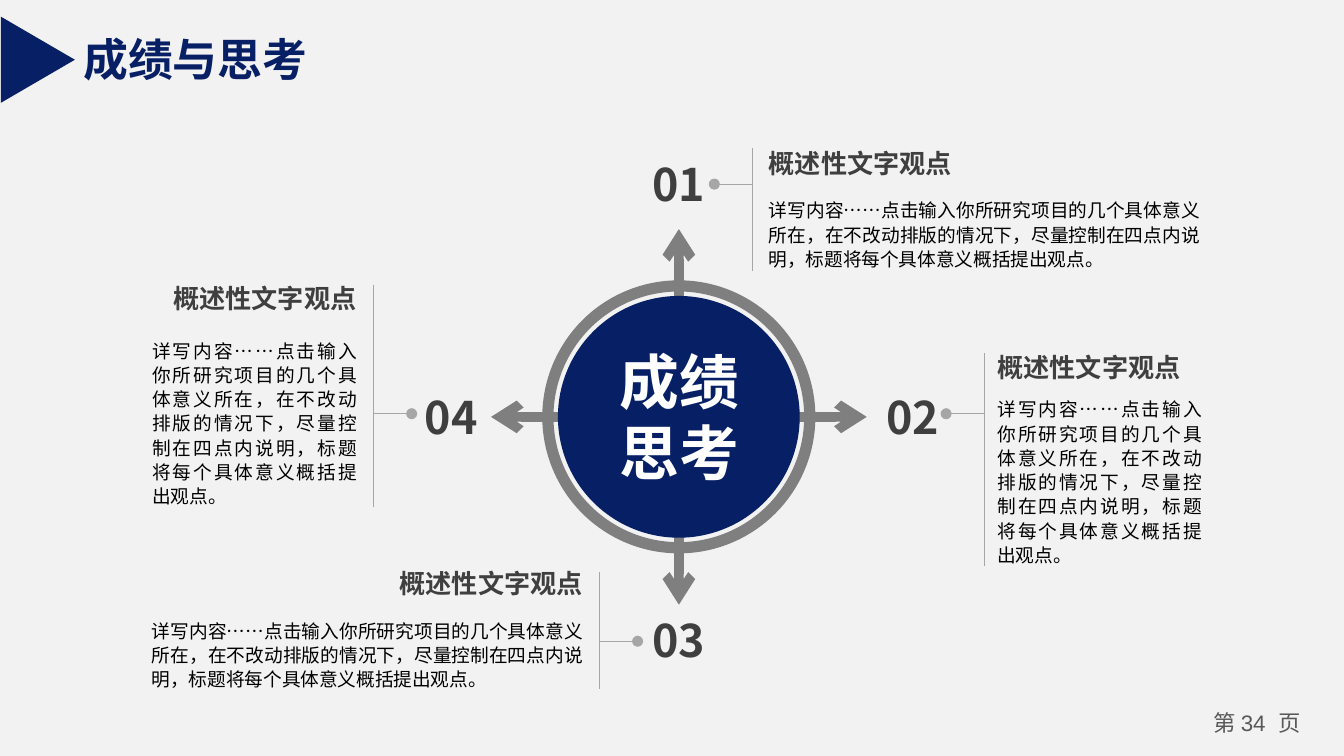
from lxml.etree import SubElement
from pptx import Presentation
from pptx.dml.color import RGBColor
from pptx.enum.shapes import MSO_CONNECTOR, MSO_SHAPE
from pptx.enum.text import MSO_ANCHOR, MSO_AUTO_SIZE, PP_ALIGN
from pptx.oxml.ns import qn
from pptx.util import Cm, Pt

COLORS = {
    "background": "F2F2F2",
    "navy": "071F65",
    "ring": "7F7F7F",
    "guide": "A6A6A6",
    "heading": "3F3F3F",
    "body": "000000",
    "page": "595959",
    "white": "FFFFFF",
}
CJK = "Noto Sans CJK SC"
LATIN = "Arial"

TITLE = "成绩与思考"
CENTER_TEXT = "成绩思考"
PAGE_RUNS = [("第 ", CJK), ("34  ", LATIN), ("页", CJK)]
HEADING = "概述性文字观点"
BODY = (
    "详写内容……点击输入你所研究项目的几个具体意义所在，在不改动排版的情况下，"
    "尽量控制在四点内说明，标题将每个具体意义概括提出观点。"
)

# All lengths are in centimetres; side is 1 when the text is right of the divider.
POINTS = [
    {"number": "01", "number_at": (12.17, 2.97), "side": 1, "divider": (14.22, 2.79, 5.13),
     "stub_y": 3.48, "text_edge": 14.53, "heading_y": 2.79, "body_y": 3.73, "width": 8.15},
    {"number": "02", "number_at": (16.59, 7.37), "side": 1, "divider": (18.6, 6.68, 10.69),
     "stub_y": 7.82, "text_edge": 18.85, "heading_y": 6.65, "body_y": 7.49, "width": 3.86},
    {"number": "03", "number_at": (12.17, 11.58), "side": -1, "divider": (11.33, 10.82, 13.03),
     "stub_y": 12.12, "text_edge": 11.02, "heading_y": 10.72, "body_y": 11.68, "width": 8.15},
    {"number": "04", "number_at": (7.87, 7.37), "side": -1, "divider": (7.06, 5.38, 9.58),
     "stub_y": 7.82, "text_edge": 6.74, "heading_y": 5.33, "body_y": 6.38, "width": 3.86},
]
CENTER_X, CENTER_Y = 12.83, 7.88
RING_SIZE, DISC_SIZE = 4.95, 4.57
ARROW_START, ARROW_TIP = 1.98, 3.55
DIRECTIONS = [(0, -1), (0, 1), (1, 0), (-1, 0)]
STUB_LENGTH = 0.72
HEADING_WIDTH = 3.86


def color(name):
    return RGBColor.from_string(COLORS[name])


def set_font(font, name, size, color_name, bold=False):
    """Set the same typeface for Latin and East Asian text."""
    font.size, font.bold = Pt(size), bold
    font.color.rgb = color(color_name)
    font.name = name
    SubElement(font._element, qn("a:ea")).set("typeface", name)


def set_margins(frame, horizontal, vertical):
    frame.margin_left = frame.margin_right = Cm(horizontal)
    frame.margin_top = frame.margin_bottom = Cm(vertical)


def add_text(slide, box, text, size, color_name, align, bold=False, line_height=None):
    frame = slide.shapes.add_textbox(*map(Cm, box)).text_frame
    frame.word_wrap = True
    set_margins(frame, 0, 0)
    paragraph = frame.paragraphs[0]
    paragraph.text = text
    paragraph.alignment = align
    if line_height:
        paragraph.line_spacing = Pt(line_height)
    set_font(paragraph.font, CJK, size, color_name, bold)
    return frame


def add_line(slide, start, end, color_name, width, head=None):
    """Draw a line, with an optional head at its start."""
    line = slide.shapes.add_connector(MSO_CONNECTOR.STRAIGHT, *map(Cm, start + end))
    line.line.color.rgb = color(color_name)
    line.line.width = Pt(width)
    properties = line._element.spPr
    if head:
        SubElement(properties.find(qn("a:ln")), qn("a:headEnd")).set("type", head)
    SubElement(properties, qn("a:effectLst"))


def add_shape(slide, kind, box, fill=None, outline=None):
    shape = slide.shapes.add_shape(kind, *map(Cm, box))
    shape.shadow.inherit = False
    if fill:
        shape.fill.solid()
        shape.fill.fore_color.rgb = color(fill)
    else:
        shape.fill.background()
    if outline:
        shape.line.color.rgb = color(outline)
        shape.line.width = Pt(6)
    else:
        shape.line.fill.background()
    return shape


def add_circle(slide, size, **style):
    box = (CENTER_X - size / 2, CENTER_Y - size / 2, size, size)
    add_shape(slide, MSO_SHAPE.OVAL, box, **style)


def add_title(slide):
    title = slide.shapes.title
    title.left, title.top, title.width, title.height = map(Cm, (1.32, 0.48, 4.78, 1.27))
    frame = title.text_frame
    frame.text = TITLE
    frame.word_wrap = False
    frame.auto_size = MSO_AUTO_SIZE.NONE
    frame.vertical_anchor = MSO_ANCHOR.TOP
    paragraph = frame.paragraphs[0]
    paragraph.alignment = PP_ALIGN.LEFT
    set_font(paragraph.font, LATIN, 24, "navy", bold=True)
    marker = add_shape(slide, MSO_SHAPE.ISOSCELES_TRIANGLE, (-0.1, 0.43, 1.63, 1.4), "navy")
    marker.rotation = 90


def add_page_number(slide):
    frame = slide.shapes.add_textbox(*map(Cm, (22.61, 13.31, 2.29, 0.76))).text_frame
    frame.word_wrap = True
    set_margins(frame, 0.18, 0.1)
    paragraph = frame.paragraphs[0]
    paragraph.alignment = PP_ALIGN.CENTER
    for text, font_name in PAGE_RUNS:
        run = paragraph.add_run()
        run.text = text
        set_font(run.font, font_name, 12, "page")


def add_hub(slide):
    add_circle(slide, RING_SIZE, outline="ring")
    for dx, dy in DIRECTIONS:
        tip, start = ((CENTER_X + dx * reach, CENTER_Y + dy * reach)
                      for reach in (ARROW_TIP, ARROW_START))
        add_line(slide, tip, start, "ring", 5, "arrow")
    add_circle(slide, DISC_SIZE, fill="navy")
    frame = add_text(slide, (11.18, 6.38, 3.33, 3), CENTER_TEXT, 32, "white",
                     PP_ALIGN.CENTER, bold=True)
    set_margins(frame, 0.25, 0.13)


def add_point(slide, point):
    side, edge, width = point["side"], point["text_edge"], point["width"]
    x, top, bottom = point["divider"]
    stub_y = point["stub_y"]
    add_line(slide, (x, top), (x, bottom), "guide", 0.5)
    add_line(slide, (x - side * STUB_LENGTH, stub_y), (x, stub_y), "guide", 0.5, "oval")
    add_text(slide, (*point["number_at"], 1.32, 1.02), point["number"], 24, "heading",
             PP_ALIGN.CENTER, bold=True)
    heading_x, body_x = (edge if side > 0 else edge - w for w in (HEADING_WIDTH, width))
    add_text(slide, (heading_x, point["heading_y"], HEADING_WIDTH, 0.61), HEADING, 14,
             "heading", PP_ALIGN.LEFT if side > 0 else PP_ALIGN.RIGHT, bold=True)
    body_height = 1.4 if width > HEADING_WIDTH else 3.25
    add_text(slide, (body_x, point["body_y"], width, body_height), BODY, 10, "body",
             PP_ALIGN.JUSTIFY, line_height=13)


def main():
    presentation = Presentation()
    presentation.slide_width, presentation.slide_height = Cm(25.4), Cm(14.29)
    slide = presentation.slides.add_slide(presentation.slide_layouts[5])
    slide.background.fill.solid()
    slide.background.fill.fore_color.rgb = color("background")
    add_title(slide)
    add_page_number(slide)
    add_hub(slide)
    for point in POINTS:
        add_point(slide, point)
    presentation.save("out.pptx")


if __name__ == "__main__":
    main()
